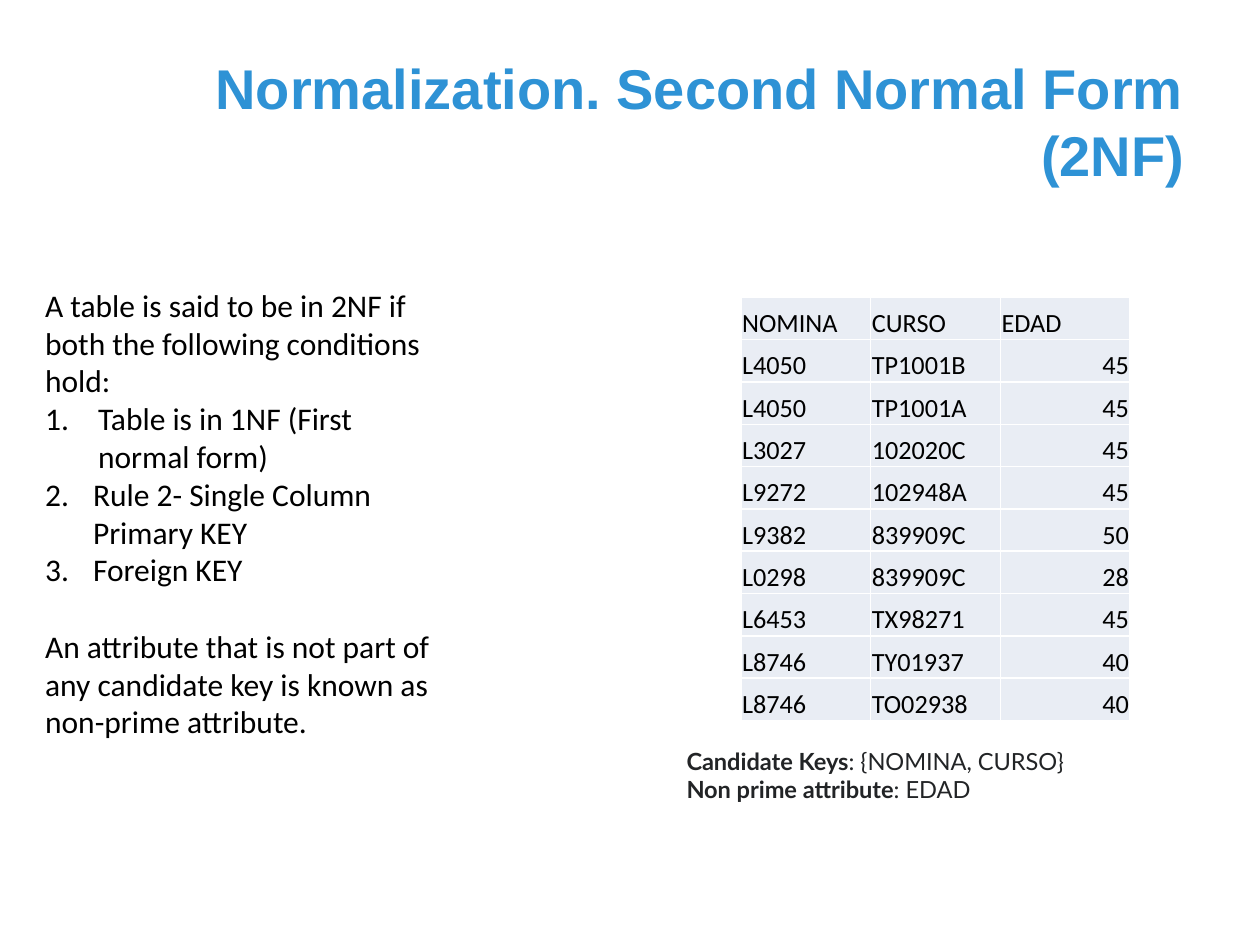
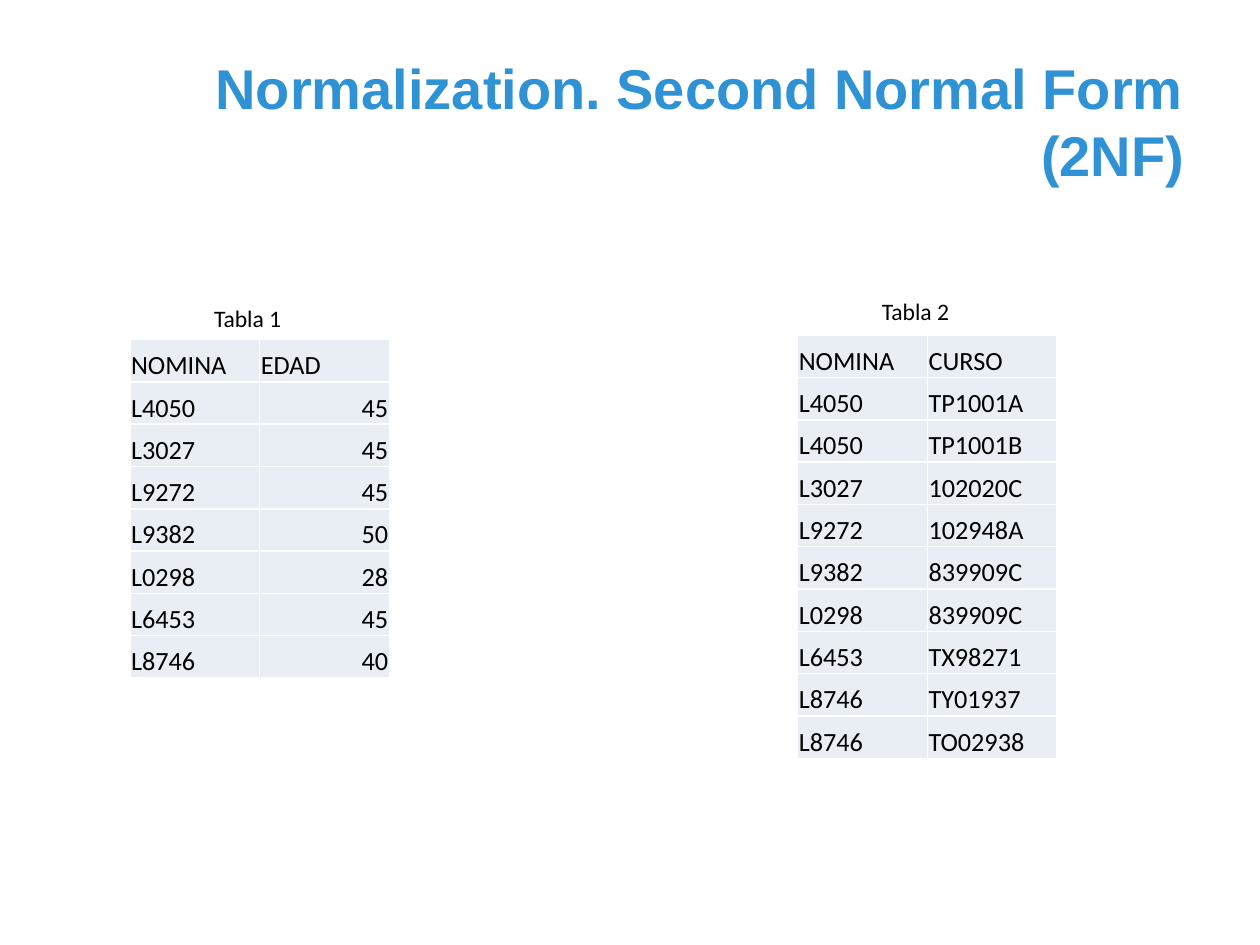
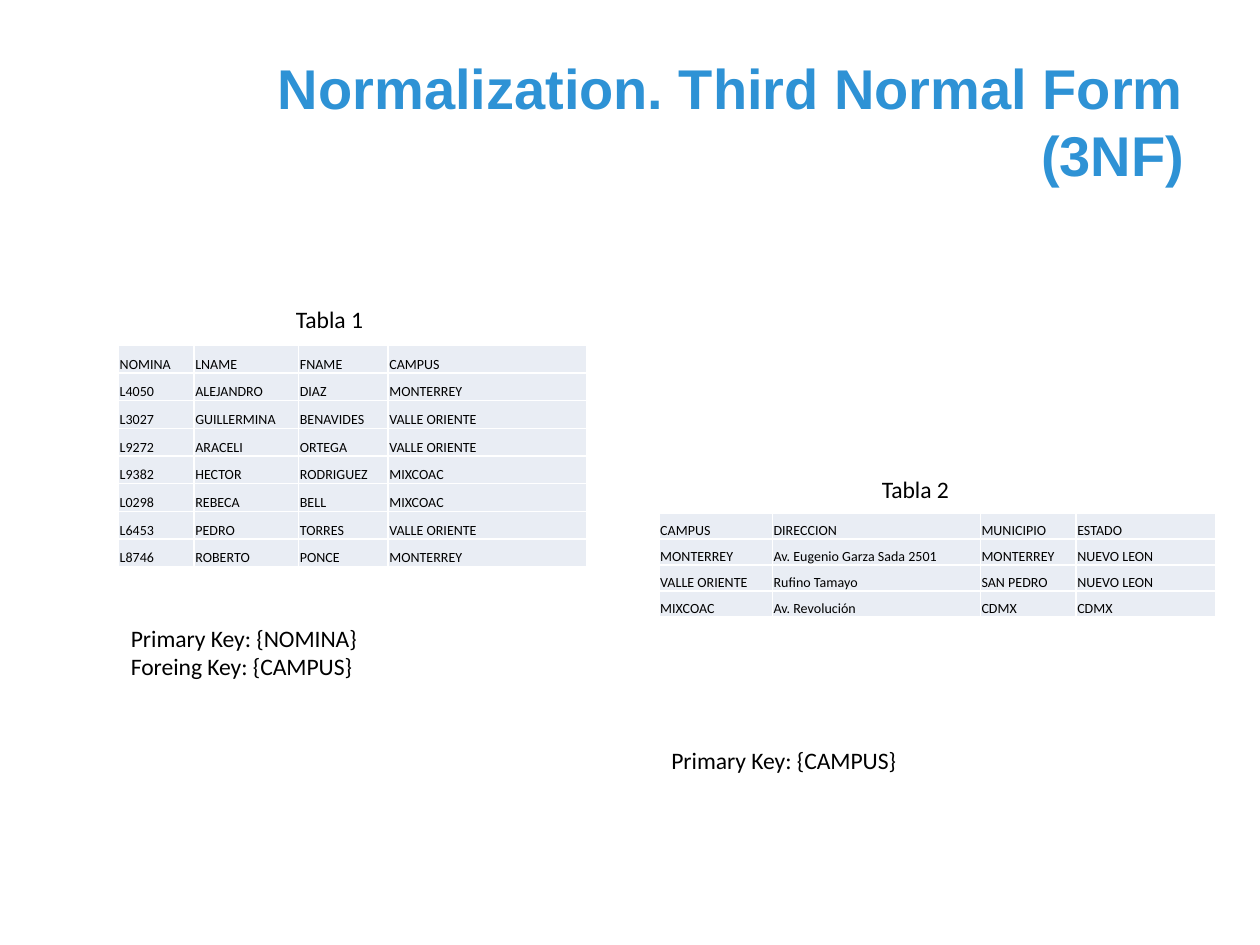
from dataclasses import dataclass, field
from typing import Any

from lxml.etree import SubElement as Sub
from pptx import Presentation
from pptx.dml.color import RGBColor as RGB
from pptx.enum.text import MSO_ANCHOR as Anchor, MSO_AUTO_SIZE as Auto, PP_ALIGN as Align
from pptx.oxml.ns import qn
from pptx.util import Inches, Pt

COLS, ROWS = 100, 75
INK, BLUE, GREY, PALE, WHITE = "000000", "2E92D5", "222426", "E9EDF4", "FFFFFF"


def tint(code):
    """Turn a hex string into a colour."""
    return RGB.from_string(code)


def put(item, **values):
    """Set each named value on the item."""
    for name, value in values.items():
        setattr(item, name, value)


@dataclass
class Deck:
    """Hold the style and the current slide."""
    show: Any = field(default_factory=Presentation)
    slide: Any = None
    face: str = "Calibri"

    def size(self, wide, high):
        """Set the slide size in inches."""
        put(self.show, slide_width=Inches(wide), slide_height=Inches(high))

    def across(self, cols):
        """Turn grid columns into a length."""
        return round(self.show.slide_width * cols / COLS)

    def down(self, rows):
        """Turn grid rows into a length."""
        return round(self.show.slide_height * rows / ROWS)

    def place(self, x, y, w, h):
        """Turn a grid box into lengths."""
        return self.across(x), self.down(y), self.across(w), self.down(h)

    def style(self, font, size, ink=INK, face=None, bold=False):
        """Give a font its face, size and colour."""
        put(font, name=face or self.face, size=Pt(size), bold=bold)
        font.color.rgb = tint(ink)

    def page(self, title):
        """Start a slide with its title."""
        self.slide = self.show.slides.add_slide(self.show.slide_layouts[5])
        head = self.slide.shapes.title
        names = ("left", "top", "width", "height")
        put(head, **dict(zip(names, self.place(12.9, 3.3, 82.1, 12.5))))
        frame = head.text_frame
        put(frame, text=title, word_wrap=True, auto_size=Auto.NONE,
            vertical_anchor=Anchor.MIDDLE)
        line = frame.paragraphs[0]
        line.alignment = Align.RIGHT
        self.style(line.runs[0].font, 32, BLUE, "Arial", True)

    def text(self, box, lines, size=13.5, wrap=True, **look):
        """Add a text box and return its paragraphs."""
        frame = self.slide.shapes.add_textbox(*self.place(*box)).text_frame
        put(frame, word_wrap=wrap, auto_size=Auto.SHAPE_TO_FIT_TEXT)
        for spot, words in enumerate(lines):
            line = frame.add_paragraph() if spot else frame.paragraphs[0]
            run = line.add_run()
            run.text = words
            self.style(run.font, size, **look)
        return frame.paragraphs

    def pairs(self, box, items, **look):
        """Add bold labels with plain values, one pair a line."""
        line = self.text(box, [""], **look)[0]
        line.clear()
        for spot, (label, value) in enumerate(items):
            if spot:
                line.add_line_break()
            for words, bold in ((label, True), (value, False)):
                run = line.add_run()
                run.text = words
                self.style(run.font, 13.5, bold=bold, **look)

    def number(self, line, start, inset):
        """Number a paragraph with a hanging indent."""
        props = line._p.get_or_add_pPr()
        gap = self.across(inset)
        props.set("marL", str(gap))
        props.set("indent", str(-gap))
        Sub(props, qn("a:buAutoNum"), type="arabicPeriod", startAt=str(start))

    def cell(self, cell, words, size):
        """Fill and format one table cell."""
        edge = self.across(0.1)
        put(cell, text=words, vertical_anchor=Anchor.BOTTOM, margin_left=edge,
            margin_right=edge, margin_top=edge, margin_bottom=0)
        props = cell._tc.get_or_add_tcPr()
        for side in "LRTB":
            rule = Sub(props, qn(f"a:ln{side}"), w=str(Pt(1)))
            Sub(Sub(rule, qn("a:solidFill")), qn("a:srgbClr"), val=WHITE)
        cell.fill.solid()
        cell.fill.fore_color.rgb = tint(PALE)
        line = cell.text_frame.paragraphs[0]
        line.alignment = Align.RIGHT if words.isdigit() else Align.LEFT
        self.style(line.runs[0].font, size)

    def table(self, x, y, widths, high, data, size=15):
        """Add a table with equal rows."""
        box = self.place(x, y, sum(widths), high * len(data))
        grid = self.slide.shapes.add_table(len(data), len(widths), *box).table
        put(grid, first_row=False, horz_banding=False)
        for col, width in zip(grid.columns, widths):
            col.width = self.across(width)
        for row, words in zip(grid.rows, data):
            row.height = self.down(high)
            for cell, word in zip(row.cells, words):
                self.cell(cell, word, size)


SECOND = "Normalization. Second Normal Form (2NF)"
THIRD = "Normalization. Third Normal Form (3NF)"
WIDE, HIGH = 10.3, 3.36

RULES = [
    "A table is said to be in 2NF if both the following conditions hold:",
    "Table is in 1NF (First normal form)",
    "Rule 2- Single Column Primary KEY",
    "Foreign KEY",
    "An attribute that is not part of any candidate key is known as non-prime attribute.",
]
AGES = [("NOMINA", "EDAD"), ("L4050", "45"), ("L3027", "45"), ("L9272", "45"),
        ("L9382", "50"), ("L0298", "28"), ("L6453", "45"), ("L8746", "40")]
TAKEN = [("NOMINA", "CURSO"), ("L4050", "TP1001A"), ("L4050", "TP1001B"),
         ("L3027", "102020C"), ("L9272", "102948A"), ("L9382", "839909C"),
         ("L0298", "839909C"), ("L6453", "TX98271"), ("L8746", "TY01937"),
         ("L8746", "TO02938")]
STAFF = [
    ("NOMINA", "LNAME", "FNAME", "CAMPUS"),
    ("L4050", "ALEJANDRO", "DIAZ", "MONTERREY"),
    ("L3027", "GUILLERMINA", "BENAVIDES", "VALLE ORIENTE"),
    ("L9272", "ARACELI", "ORTEGA", "VALLE ORIENTE"),
    ("L9382", "HECTOR", "RODRIGUEZ", "MIXCOAC"),
    ("L0298", "REBECA", "BELL", "MIXCOAC"),
    ("L6453", "PEDRO", "TORRES", "VALLE ORIENTE"),
    ("L8746", "ROBERTO", "PONCE", "MONTERREY"),
]
SITES = [
    ("CAMPUS", "DIRECCION", "MUNICIPIO", "ESTADO"),
    ("MONTERREY", "Av. Eugenio Garza Sada 2501", "MONTERREY", "NUEVO LEON"),
    ("VALLE ORIENTE", "Rufino Tamayo", "SAN PEDRO", "NUEVO LEON"),
    ("MIXCOAC", "Av. Revolución", "CDMX", "CDMX"),
]


def joined():
    """Join courses and ages, with the first two courses swapped."""
    head, first, second, *rest = TAKEN
    ages = dict(AGES)
    return [(key, course, ages[key]) for key, course in (head, second, first, *rest)]


def rules(deck):
    """Build the slide with the 2NF rules."""
    deck.page(SECOND)
    lines = deck.text((2.6, 22.2, 32.8, 37.4), RULES, 18)
    for line, start, inset in zip(lines[1:4], (1, 2, 2), (4.2, 3.8, 3.8)):
        deck.number(line, start, inset)
    lines[4].space_before = Pt(22)
    deck.table(58.8, 23.6, [WIDE] * 3, HIGH, joined())
    deck.pairs((53.5, 58.8, 39.9, 5.6),
               [("Candidate Keys", ": {NOMINA, CURSO}"), ("Non prime attribute", ": EDAD")],
               ink=GREY, face="Lato")


def split(deck):
    """Build the slide with the table split in two."""
    deck.page(SECOND)
    deck.table(63.3, 26.6, [WIDE] * 2, HIGH, TAKEN)
    deck.table(10.3, 26.95, [WIDE] * 2, HIGH, AGES)
    deck.text((16, 23.6, 16.8, 3.3), ["Tabla 1"])
    deck.text((69, 23.1, 16.8, 3.3), ["Tabla 2"])


def third(deck):
    """Build the slide on the third normal form."""
    deck.page(THIRD)
    deck.table(9.4, 27.4, (6, 8.3, 7.1, 15.8), 2.2, STAFF, 8)
    deck.table(52.3, 40.7, (9, 16.5, 7.6, 11.1), 2.07, SITES, 8)
    deck.text((22.5, 23.7, 22.6, 3.3), ["Tabla 1"])
    deck.text((69, 37.2, 22.6, 3.3), ["Tabla 2"])
    deck.text((9.4, 49, 20.6, 5.6), ["Primary Key: {NOMINA}", "Foreing Key: {CAMPUS}"])
    deck.text((52.3, 58.7, 20.1, 3.3), ["Primary Key: {CAMPUS}"], wrap=False)


def main():
    """Build and save the slides."""
    deck = Deck()
    deck.size(10, 7.5)
    for build in (rules, split, third):
        build(deck)
    deck.show.save("out.pptx")


if __name__ == "__main__":
    main()
